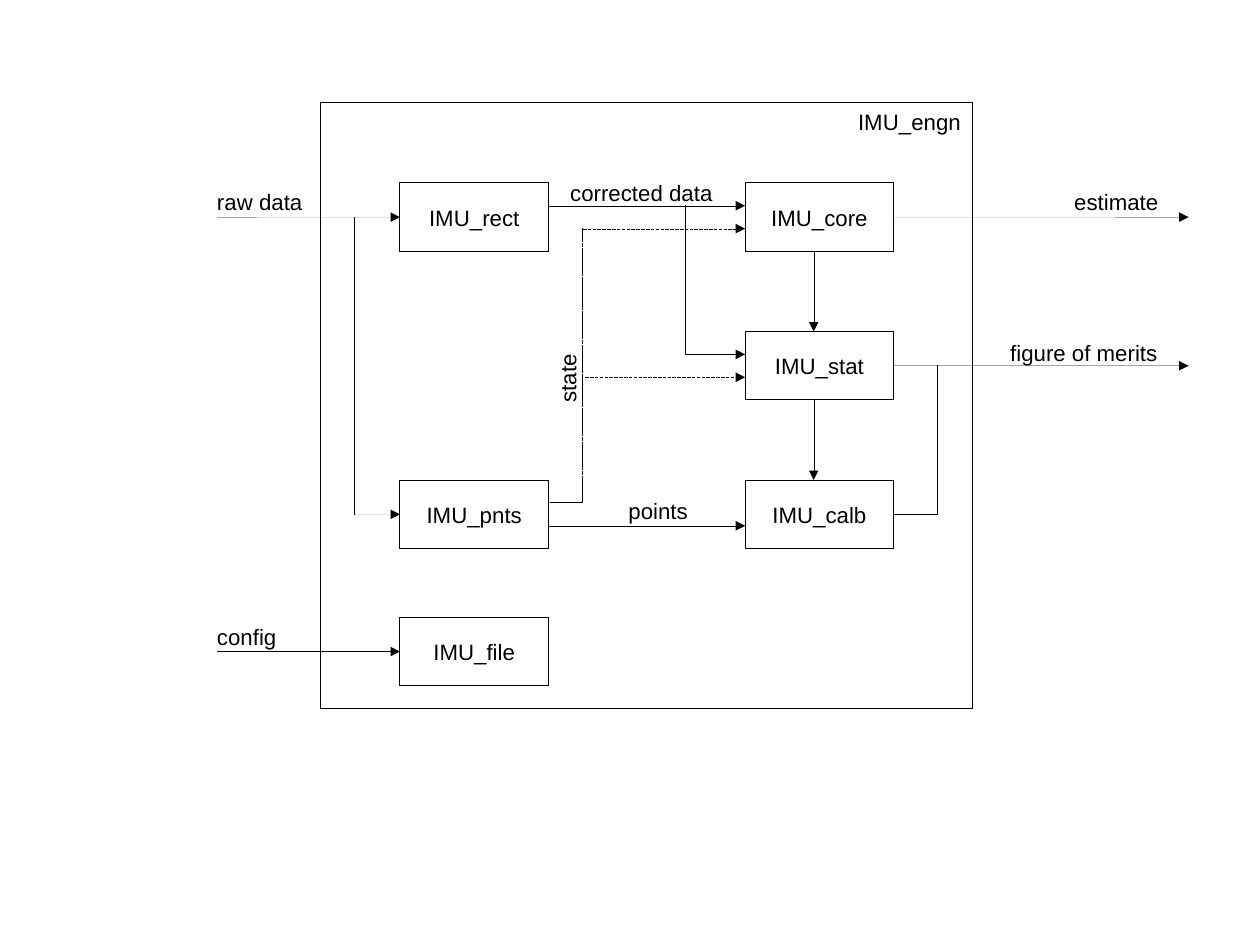
import pptx
import pptx.dml.color
import pptx.enum.dml
import pptx.enum.shapes
import pptx.enum.text
import pptx.oxml
import pptx.oxml.ns
import pptx.util

Pt = pptx.util.Pt
COLORS = {"ink": "000000"}
FONT = {"name": "Arial", "size": Pt(14)}
INSETS = {"margin_left": Pt(7.2), "margin_right": Pt(7.2),
          "margin_top": Pt(3.6), "margin_bottom": Pt(3.6)}
LABEL_HEIGHT = 23.04
TOP, LEFT, BOTTOM, RIGHT = range(4)
DASH = pptx.enum.dml.MSO_LINE.SQUARE_DOT

# All places below are relative to the engine frame
ENGINE = (201.6, 64.8, 411.12, 381.6)
MODULE_WIDTH, MODULE_HEIGHT = 93.6, 43.2
INNER, OUTER = 50.4, 267.84
MODULE_RIGHT = INNER + MODULE_WIDTH
ROWS = (50.4, 144, 237.6, 324)
MODULES = {
    "IMU_rect": (INNER, ROWS[0]), "IMU_core": (OUTER, ROWS[0]),
    "IMU_stat": (OUTER, ROWS[1]), "IMU_pnts": (INNER, ROWS[2]),
    "IMU_calb": (OUTER, ROWS[2]), "IMU_file": (INNER, ROWS[3]),
}

# Text: left, top, width, rotation
LABELS = {
    "IMU_engn": (331.92, 0, 79.2, 0),
    "raw data": (-72, 50.4, 68.4, 0),
    "config": (-72, 324, 68.4, 0),
    "estimate": (468, 50.4, 68.4, 0),
    "figure of merits": (427.68, 145.44, 107.28, 0),
    "corrected data": (150.48, 44.64, 104.4, 0),
    "points": (187.2, 244.8, 51.84, 0),
    "state": (133.2, 162, 44.64, 270),
}

# Each end is a point or a module name with one of its sides
INPUT, OUTPUT = -64.8, 547.2
RAW_BUS, STATE_BUS, DATA_BUS, MERIT_BUS, CHAIN = 21.6, 165.6, 230.4, 388.8, 311.04
ARROWS = [
    ((INPUT, 72), ("IMU_rect", LEFT)),
    ((RAW_BUS, 259.2), ("IMU_pnts", LEFT)),
    ((INPUT, 345.6), ("IMU_file", LEFT)),
    (("IMU_core", RIGHT), (OUTPUT, 72)),
    (("IMU_stat", RIGHT), (OUTPUT, 165.6)),
    ((MODULE_RIGHT, 64.8), (OUTER, 64.8)),
    ((DATA_BUS, 158.4), (OUTER, 158.4)),
    ((MODULE_RIGHT, 266.4), (OUTER, 266.4)),
    ((CHAIN, ROWS[0] + MODULE_HEIGHT), (CHAIN, ROWS[1])),
    ((CHAIN, ROWS[1] + MODULE_HEIGHT), (CHAIN, ROWS[2])),
]
BRANCHES = [
    ((RAW_BUS, 72), (RAW_BUS, 259.2)),
    ((DATA_BUS, 64.8), (DATA_BUS, 158.4)),
    ((MERIT_BUS, 165.6), (MERIT_BUS, 259.2)),
    (("IMU_calb", RIGHT), (MERIT_BUS, 259.2)),
]
STATE_ARROWS = [
    ((STATE_BUS, 79.2), (OUTER, 79.2)),
    ((STATE_BUS + 1.44, 172.8), (OUTER, 172.8)),
]
STATE_BRANCHES = [
    ((STATE_BUS, 79.2), (STATE_BUS, 252)),
    ((STATE_BUS, 252), (MODULE_RIGHT, 252)),
]


def ink():
    return pptx.dml.color.RGBColor.from_string(COLORS["ink"])


def set_hairline(shape):
    shape.line.color.rgb = ink()
    outline = shape.element.spPr.find(pptx.oxml.ns.qn("a:ln"))
    outline.set("w", "0")
    return outline


def write_text(shape, text, **frame_format):
    frame = shape.text_frame
    for name, value in {**INSETS, **frame_format}.items():
        setattr(frame, name, value)
    paragraph = frame.paragraphs[0]
    run = paragraph.add_run()
    run.text = text
    for name, value in FONT.items():
        setattr(run.font, name, value)
    run.font.color.rgb = ink()
    return paragraph


def add_box(slide, left, top, width, height):
    shape = slide.shapes.add_shape(
        pptx.enum.shapes.MSO_SHAPE.RECTANGLE, Pt(left), Pt(top), Pt(width), Pt(height))
    shape.shadow.inherit = False
    shape.fill.background()
    set_hairline(shape)
    return shape


def add_label(slide, text, left, top, width, rotation):
    label = slide.shapes.add_textbox(Pt(left), Pt(top), Pt(width), Pt(LABEL_HEIGHT))
    label.rotation = rotation
    write_text(label, text, word_wrap=False,
               auto_size=pptx.enum.text.MSO_AUTO_SIZE.SHAPE_TO_FIT_TEXT)


def add_signal(slide, origin, modules, start, end, arrow, dash):
    def locate(place):
        if place[0] in modules:
            name, side = place
            across, down = {TOP: (0.5, 0), LEFT: (0, 0.5),
                            BOTTOM: (0.5, 1), RIGHT: (1, 0.5)}[side]
            left, top = MODULES[name]
            place = (left + across * MODULE_WIDTH, top + down * MODULE_HEIGHT)
        return [Pt(base + offset) for base, offset in zip(origin, place)]

    connector = slide.shapes.add_connector(
        pptx.enum.shapes.MSO_CONNECTOR.STRAIGHT, *locate(start), *locate(end))
    for place, connect in ((start, connector.begin_connect), (end, connector.end_connect)):
        if place[0] in modules:
            connect(modules[place[0]], place[1])
    outline = set_hairline(connector)
    if dash:
        connector.line.dash_style = dash
    if arrow:
        outline.append(outline.makeelement(pptx.oxml.ns.qn("a:tailEnd"), {"type": "triangle"}))
    properties = connector.element.spPr
    properties.append(properties.makeelement(pptx.oxml.ns.qn("a:effectLst"), {}))


def draw_engine(slide, left, top, width, height):
    # Frame and modules
    add_box(slide, left, top, width, height)
    modules = {}
    for name, (x, y) in MODULES.items():
        module = add_box(slide, left + x, top + y, MODULE_WIDTH, MODULE_HEIGHT)
        paragraph = write_text(module, name, word_wrap=True,
                               vertical_anchor=pptx.enum.text.MSO_ANCHOR.MIDDLE)
        paragraph.alignment = pptx.enum.text.PP_ALIGN.CENTER
        modules[name] = module

    # Signals, solid for data and dashed for state
    for signals, arrow, dash in ((ARROWS, True, None), (BRANCHES, False, None),
                                 (STATE_ARROWS, True, DASH), (STATE_BRANCHES, False, DASH)):
        for start, end in signals:
            add_signal(slide, (left, top), modules, start, end, arrow, dash)

    # Labels
    for text, (x, y, label_width, rotation) in LABELS.items():
        add_label(slide, text, left + x, top + y, label_width, rotation)


def main():
    presentation = pptx.Presentation()
    presentation.slide_width, presentation.slide_height = Pt(793.75), Pt(595.25)
    slide = presentation.slides.add_slide(presentation.slide_layouts[6])
    draw_engine(slide, *ENGINE)
    presentation.save("out.pptx")


if __name__ == "__main__":
    main()
